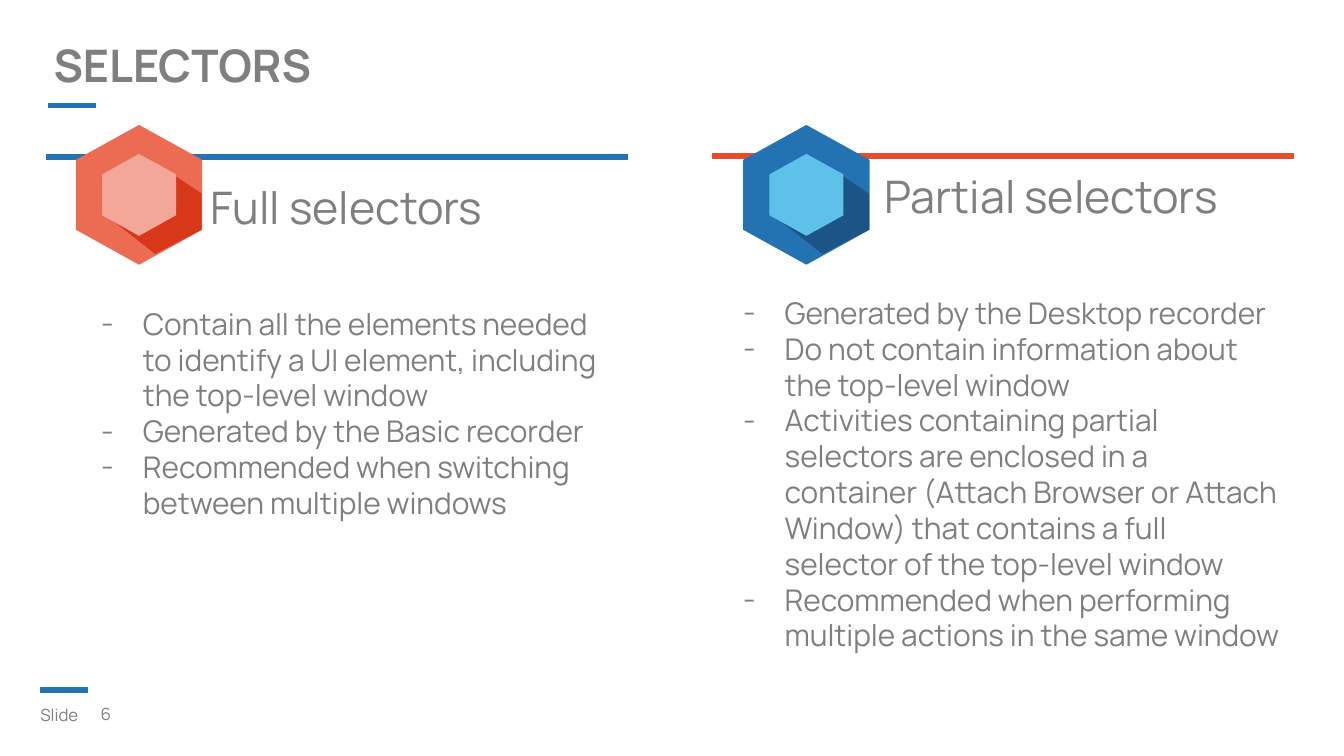
from dataclasses import dataclass

from lxml.etree import SubElement
from pptx import Presentation
from pptx.dml.color import RGBColor
from pptx.enum.shapes import MSO_CONNECTOR as Connector
from pptx.enum.text import MSO_ANCHOR as Anchor
from pptx.oxml.ns import qn
from pptx.util import Emu, Inches, Pt

BLUE = RGBColor(0x23, 0x72, 0xB2)
NAVY = RGBColor(0x1A, 0x55, 0x86)
SKY = RGBColor(0x5E, 0xC1, 0xEA)
RED = RGBColor(0xE7, 0x4C, 0x2D)
CORAL = RGBColor(0xEB, 0x6C, 0x53)
BRICK = RGBColor(0xD6, 0x38, 0x19)
PINK = RGBColor(0xF3, 0xA7, 0x98)
GREY = RGBColor(0x7F, 0x7F, 0x7F)
FONT = "Manrope"

prs = Presentation()
prs.slide_width = Inches(10)
prs.slide_height = Emu(prs.slide_width * 9 // 16)
CELL = prs.slide_width / 100
HEX_ROW = 14.5
COLUMN_SPAN = 43.3
HANG = 3.1

Points = list[tuple[float, float]]
SHADOW: Points = [(2.7, -1.4), (4.65, -0.1), (4.65, 2.6), (1.2, 4.4),
                  (-2.5, 1.5), (0, 2.9), (2.7, 1.4)]


@dataclass(frozen=True)
class Column:
    heading: str
    bullets: list[str]
    col: float
    row: float
    heading_indent: float
    bullet_indent: float
    rule_row: float
    rule_color: RGBColor
    hex_col: float
    hex_colors: tuple[RGBColor, RGBColor, RGBColor]


COLUMNS = [
    Column("Full selectors",
           ["Contain all the elements needed to identify a UI element, "
            "including the top-level window",
            "Generated by the Basic recorder",
            "Recommended when switching between multiple windows"],
           3.45, 12.9, 11.2, 6.2, 11.7, BLUE, 10.35, (CORAL, BRICK, PINK)),
    Column("Partial selectors",
           ["Generated by the Desktop recorder",
            "Do not contain information about the top-level window",
            "Activities containing partial selectors are enclosed in a "
            "container (Attach Browser or Attach Window) that contains a "
            "full selector of the top-level window",
            "Recommended when performing multiple actions in the same window"],
           53, 12.1, 11.85, 4.4, 11.6, RED, 60, (BLUE, NAVY, SKY)),
]


def cells(n: float) -> Emu:
    return Emu(round(n * CELL))


def add_rule(s, col: float, row: float, span: float, color: RGBColor) -> None:
    line = s.shapes.add_connector(Connector.STRAIGHT, cells(col), cells(row),
                                  cells(col + span), cells(row))
    line.line.color.rgb = color
    line.line.width = Pt(3)
    SubElement(line._element.spPr, qn("a:effectLst"))


def add_box(s, col: float, row: float, w: float, h: float,
            inset_x: float = 1, inset_y: float = 0.5):
    tf = s.shapes.add_textbox(*map(cells, (col, row, w, h))).text_frame
    tf.word_wrap = True
    tf.margin_left = tf.margin_right = cells(inset_x)
    tf.margin_top = tf.margin_bottom = cells(inset_y)
    return tf


def add_run(p, text: str, size: float, bold: bool = False) -> None:
    r = p.add_run()
    r.text = text
    r.font.name = FONT
    r.font.size = Pt(size)
    r.font.bold = bold
    r.font.color.rgb = GREY


def indent(p, left: float, hanging: float = 0) -> None:
    pPr = p._p.get_or_add_pPr()
    pPr.set("marL", str(cells(left)))
    pPr.set("indent", str(cells(-hanging)))


def add_bullet(p) -> None:
    pPr = p._p.get_or_add_pPr()
    color = SubElement(pPr, qn("a:buClr"))
    SubElement(color, qn("a:srgbClr"), val=str(GREY))
    SubElement(pPr, qn("a:buFont"), typeface=FONT)
    SubElement(pPr, qn("a:buChar"), char="-")


def hexagon(half_w: float, half_h: float) -> Points:
    side = half_h / 2
    return [(0, -half_h), (half_w, -side), (half_w, side),
            (0, half_h), (-half_w, side), (-half_w, -side)]


def add_polygon(shapes, col: float, points: Points, color: RGBColor) -> None:
    corners = [(cells(col + x), cells(HEX_ROW + y)) for x, y in points]
    builder = shapes.build_freeform(*corners[0])
    builder.add_line_segments(corners[1:], close=True)
    sp = builder.convert_to_shape()
    sp.shadow.inherit = False
    sp.fill.solid()
    sp.fill.fore_color.rgb = color
    sp.line.fill.background()


def add_column(s, c: Column) -> None:
    tf = add_box(s, c.col, c.row, COLUMN_SPAN, 39.7)
    p = tf.paragraphs[0]
    indent(p, c.heading_indent)
    add_run(p, c.heading, 24)
    for i, text in enumerate(c.bullets):
        p = tf.add_paragraph()
        indent(p, c.bullet_indent, HANG)
        p.space_before = Pt(0 if i else 38.4)
        add_bullet(p)
        add_run(p, text, 16)
    add_rule(s, c.col, c.rule_row, COLUMN_SPAN, c.rule_color)
    group = s.shapes.add_group_shape()
    outlines = (hexagon(4.7, 5.2), SHADOW, hexagon(2.75, 3.05))
    for points, color in zip(outlines, c.hex_colors):
        add_polygon(group.shapes, c.hex_col, points, color)


def main() -> None:
    s = prs.slides.add_slide(prs.slide_layouts[6])
    add_rule(s, 3, 51.35, 3.55, BLUE)
    add_rule(s, 3.6, 7.85, 3.55, BLUE)
    tf = add_box(s, 6.5, 51.8, 5.3, 2.7)
    tf.vertical_anchor = Anchor.MIDDLE
    add_run(tf.paragraphs[0], "6", 9)
    tf = add_box(s, 2.3, 52, 4.5, 2.3, 0.7, 0.4)
    add_run(tf.paragraphs[0], "Slide", 9)
    tf = add_box(s, 3, 2.7, 77.8, 4.1, 1, 1)
    tf.paragraphs[0].line_spacing = 0.75
    add_run(tf.paragraphs[0], "SELECTORS", 24, bold=True)
    for c in COLUMNS:
        add_column(s, c)
    prs.save("out.pptx")


if __name__ == "__main__":
    main()
